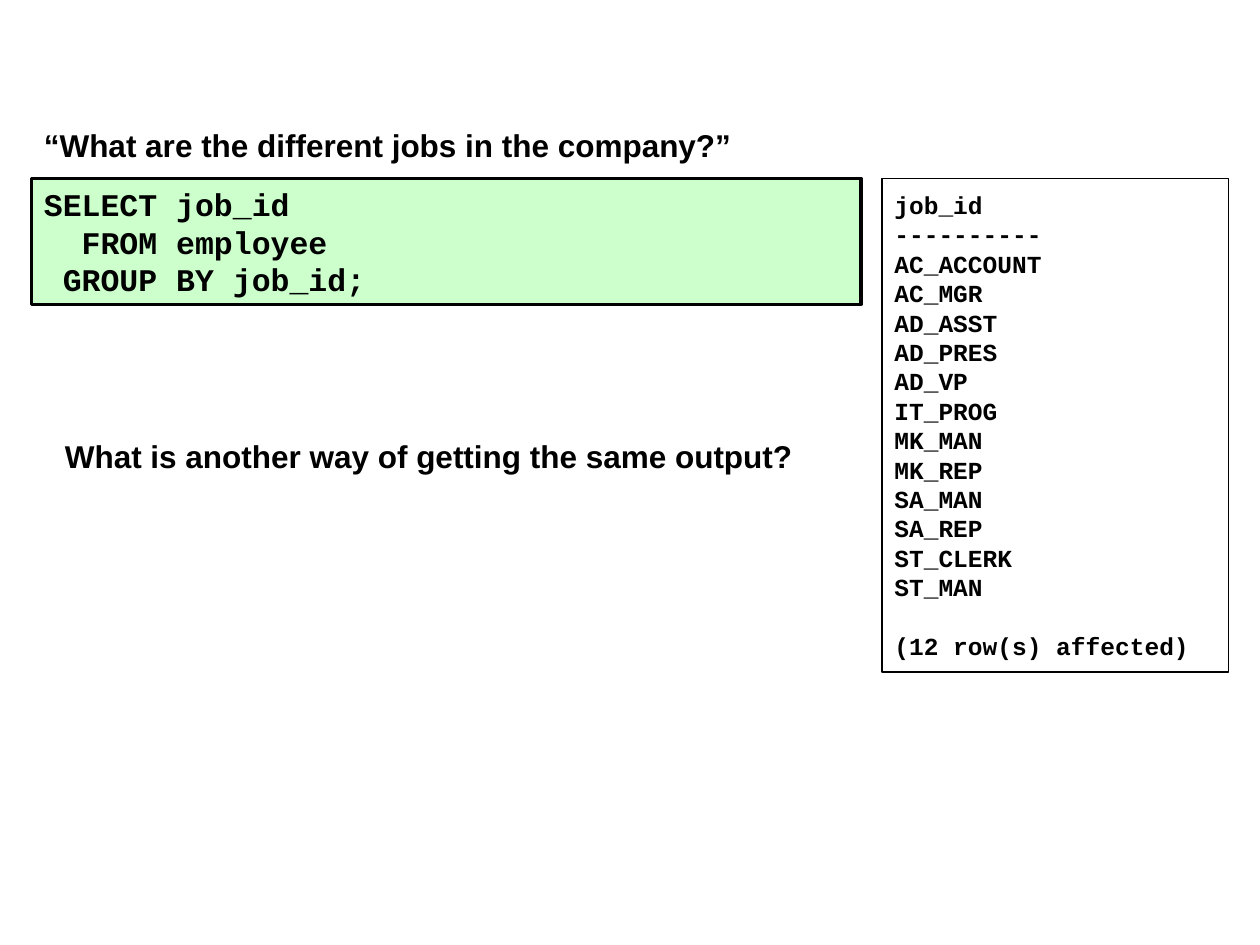
import pptx
import pptx.dml.color
import pptx.enum.shapes
import pptx.enum.text
import pptx.util

COLORS = {"ink": "000000", "code": "CCFFCC"}
COLUMNS, ROWS = 120, 90

presentation = pptx.Presentation()
presentation.slide_width = pptx.util.Inches(10)
presentation.slide_height = pptx.util.Inches(7.5)
slide = presentation.slides.add_slide(presentation.slide_layouts[6])
column = presentation.slide_width / COLUMNS
row = presentation.slide_height / ROWS


def place(left, top, width, height):
    """Turn grid columns and rows into slide lengths."""
    return [round(n * unit) for n, unit in zip((left, top, width, height), (column, row) * 2)]


def write_lines(shape, lines, font_name, size, anchor):
    """Fill the shape with one bold, left-aligned paragraph per line."""
    frame = shape.text_frame
    frame.word_wrap = True
    frame.vertical_anchor = anchor
    for index, line in enumerate(lines):
        paragraph = frame.add_paragraph() if index else frame.paragraphs[0]
        paragraph.alignment = pptx.enum.text.PP_ALIGN.LEFT
        run = paragraph.add_run()
        run.text = line
        run.font.name = font_name
        run.font.size = pptx.util.Pt(size)
        run.font.bold = True
        run.font.color.rgb = pptx.dml.color.RGBColor.from_string(COLORS["ink"])
    return frame.paragraphs


questions = [
    ("“What are the different jobs in the company?”", 3, 12),
    ("What is another way of getting the same output?", 5, 41.6),
]
for question, left, top in questions:
    text_box = slide.shapes.add_textbox(*place(left, top, 73, 4.3))
    paragraphs = write_lines(text_box, [question], "Arial", 18, pptx.enum.text.MSO_ANCHOR.TOP)
    paragraphs[0].line_spacing = 0.85

query = ["SELECT job_id", "  FROM employee", " GROUP BY job_id;"]
result = [
    "job_id", "----------", "AC_ACCOUNT", "AC_MGR", "AD_ASST", "AD_PRES", "AD_VP",
    "IT_PROG", "MK_MAN", "MK_REP", "SA_MAN", "SA_REP", "ST_CLERK", "ST_MAN",
    "(12 row(s) affected)",
]
panels = [
    (query, (3, 17, 79, 12), 18, 2, "code"),
    (result, (84, 17, 33, 47), 14, 0.75, None),
]
for lines, cells, size, line_width, fill in panels:
    panel = slide.shapes.add_shape(pptx.enum.shapes.MSO_SHAPE.RECTANGLE, *place(*cells))
    panel.shadow.inherit = False
    if fill:
        panel.fill.solid()
        panel.fill.fore_color.rgb = pptx.dml.color.RGBColor.from_string(COLORS[fill])
    else:
        panel.fill.background()
    panel.line.color.rgb = pptx.dml.color.RGBColor.from_string(COLORS["ink"])
    panel.line.width = pptx.util.Pt(line_width)
    paragraphs = write_lines(panel, lines, "Courier New", size, pptx.enum.text.MSO_ANCHOR.MIDDLE)

# The row count stands one line below the result rows.
paragraphs[-1].space_before = pptx.util.Pt(16.8)

presentation.save("out.pptx")
